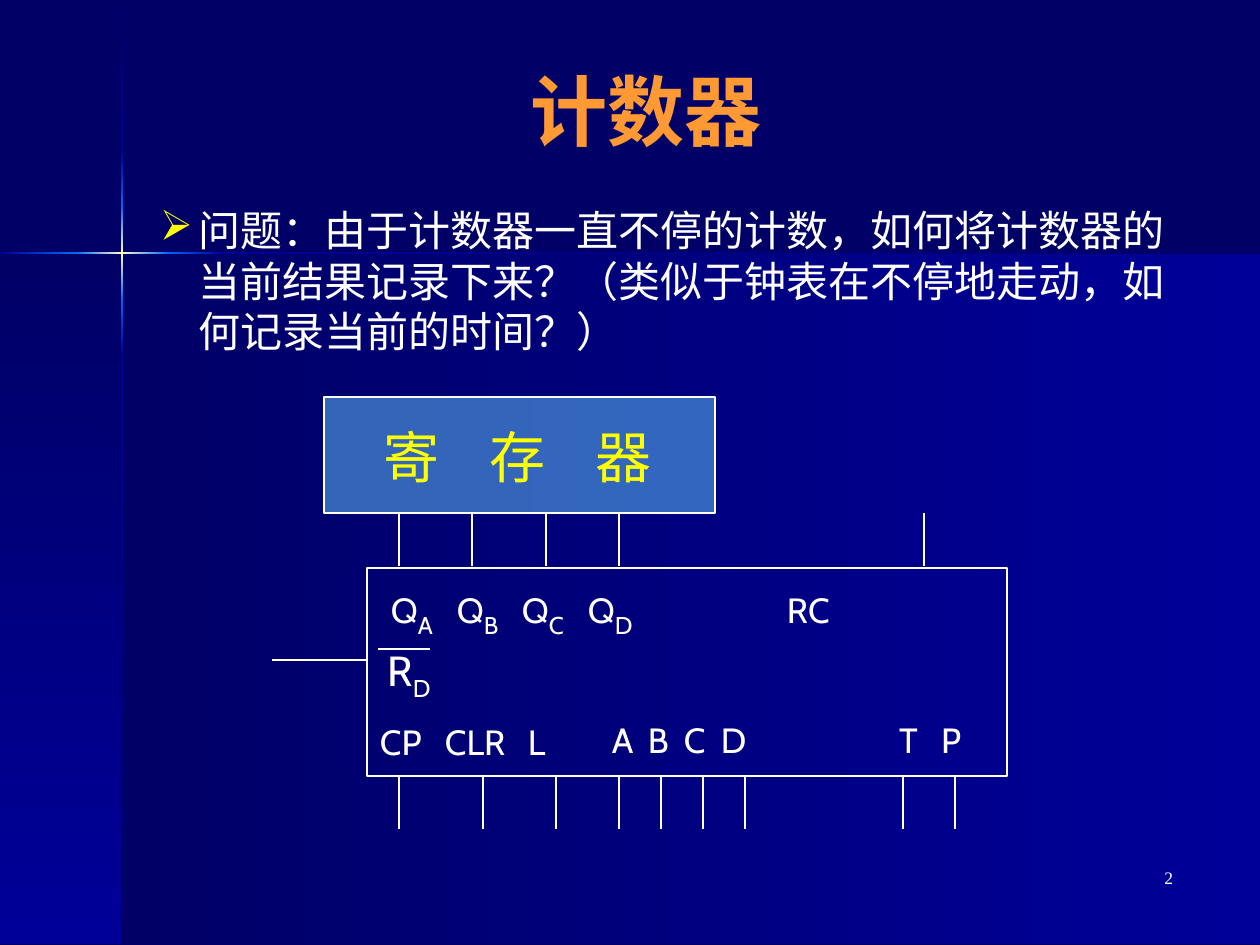
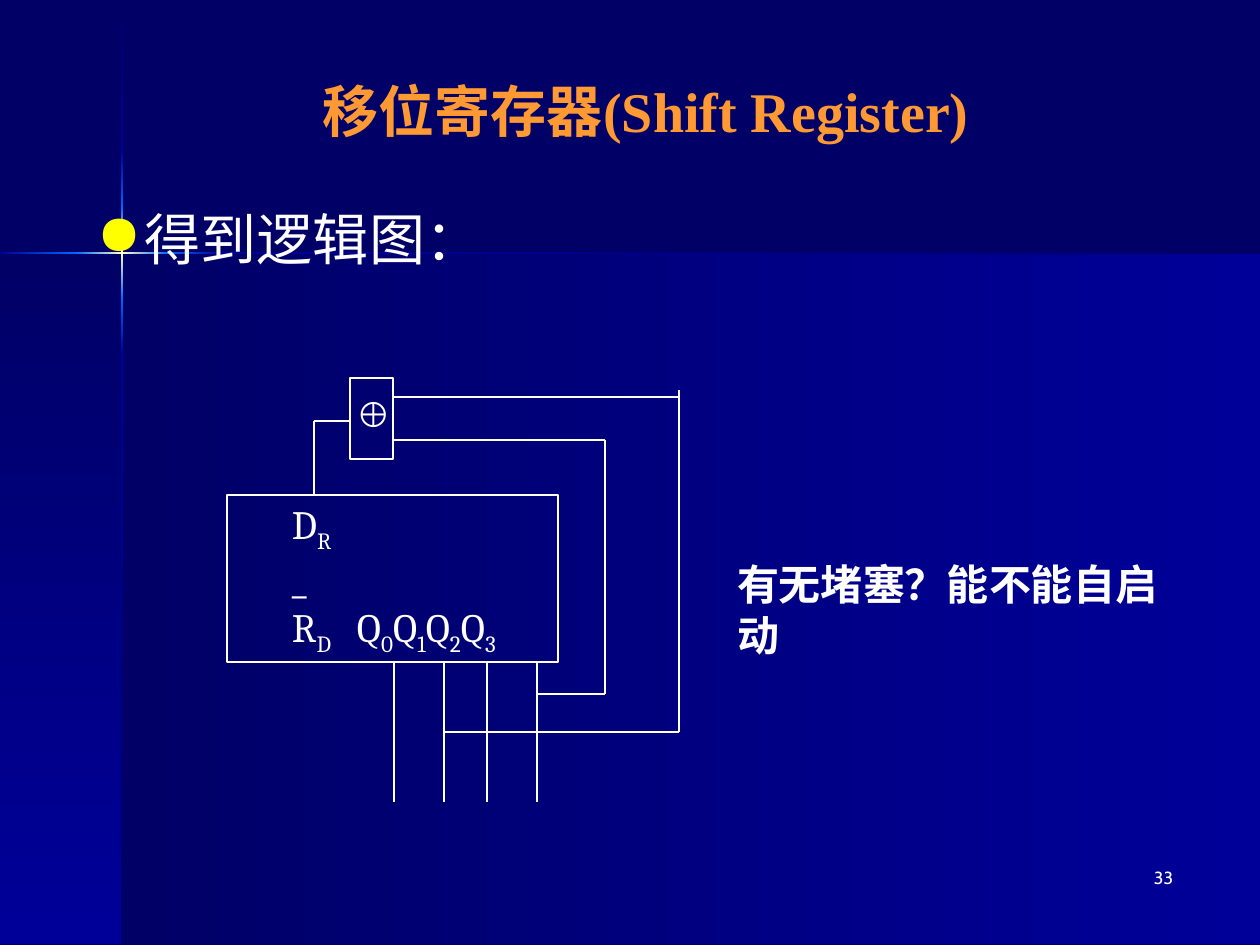
from lxml import etree
from pptx import Presentation
from pptx.dml.color import RGBColor
from pptx.enum.shapes import MSO_CONNECTOR, MSO_SHAPE
from pptx.enum.text import MSO_ANCHOR, PP_ALIGN
from pptx.oxml import parse_xml
from pptx.oxml.ns import nsdecls, qn
from pptx.util import Pt

RECTANGLE, STRAIGHT = MSO_SHAPE.RECTANGLE, MSO_CONNECTOR.STRAIGHT
LEFT, CENTER, RIGHT = PP_ALIGN.LEFT, PP_ALIGN.CENTER, PP_ALIGN.RIGHT
TOP, MIDDLE = MSO_ANCHOR.TOP, MSO_ANCHOR.MIDDLE

SCALE = 914400 / 126  # EMU per px
SLIDE_SIZE = (1260, 945)
TIMES, CABIN, CAMBRIA = "Times New Roman", "Cabin", "Cambria"
COLORS = {
    "night": "000066", "navy": "000099", "azure": "0066FF", "glow": "FFFFCC",
    "title": "FF9933", "text": "FFFFFF", "accent": "FFFF00", "register": "66CCFF",
}

# Shared layout: (left, top, width, height), gradient colours, angle in degrees
BANDS = [
    ((122, 253, 1138, 691), ("night", "navy"), 0),
    ((0, 253, 122, 691), ("night", "navy"), 90),
    ((121, 0, 2, 152), ("night", "navy"), 90),
    ((121, 354, 2, 590), ("navy", "night"), 90),
    ((223, 252, 1037, 2), ("navy", "night"), 0),
    ((121, 299, 2, 55), ("azure", "navy"), 90),
    ((121, 152, 2, 55), ("navy", "azure"), 90),
    ((121, 207, 2, 92), ("azure", "glow", "azure"), 90),
    ((0, 252, 76, 2), ("navy", "azure"), 0),
    ((168, 252, 55, 2), ("azure", "navy"), 0),
    ((76, 252, 92, 2), ("azure", "glow", "azure"), 0),
]
TITLE_BOX = (84, 42, 1124, 136)
BODY_BOX = (84, 199, 1124, 640)
NUMBER_BOX = (924, 861, 262, 63)

# Slide content; ~ surrounds a subscript
COUNTER = {
    "title": "计数器", "title_size": 44, "number": "2", "number_font": TIMES,
    "body": "问题：由于计数器一直不停的计数，如何将计数器的当前结果记录下来？"
            "（类似于钟表在不停地走动，如何记录当前的时间？）",
    "body_size": 24, "bullet": ("➢", 102, 39),
}
SHIFT_REGISTER = {
    "title": "移位寄存器(Shift Register)", "title_size": 32,
    "number": "33", "number_font": CABIN,
    "body": "得到逻辑图：", "body_size": 32, "bullet": ("●", 48, 48),
}

# Counter circuit
REGISTER_BOX = (324, 397, 391, 116)
COUNTER_BOX = (367, 568, 640, 208)
OUTPUT_PINS = [399, 472, 546, 619, 924]
INPUT_PINS = [399, 483, 556, 619, 661, 703, 745, 903, 955]
PIN_LENGTH = 53
RESET_WIRES = [(430, 649, 378, 649), (367, 660, 272, 660)]
PIN_LABELS = [  # box, text, tab stops
    ((378, 576, 620, 71), "Q~A~\tQ~B~\tQ~C~\tQ~D~\tRC", (66, 131, 197, 396)),
    ((599, 712, 179, 55), "A\tB\tC\tD", (36, 72, 109)),
    ((367, 714, 220, 55), "CP\tCLR\tL", (65, 148)),
    ((886, 712, 93, 55), "T\tP", (42,)),
]

# Shift register circuit
SHIFT_BOX = (227, 495, 331, 167)
XOR_BOX = (350, 378, 43, 81)
SHIFT_LABELS = ["D~R~", "_", "R~D~\tQ~0~Q~1~Q~2~Q~3~"]
SHIFT_OUTPUTS = [394, 444, 487, 537]
SHIFT_OUTPUT_ENDS = (663, 802)
FEEDBACK_WIRES = [
    (314, 495, 314, 421), (314, 421, 350, 421),
    (537, 694, 605, 694), (394, 440, 605, 440), (605, 440, 605, 694),
    (444, 732, 679, 732), (679, 732, 679, 390), (679, 397, 394, 397),
]


def px(length):
    return round(length * SCALE)


def set_values(target, values):
    for name, value in values.items():
        setattr(target, name, value)


def rgb(name):
    return RGBColor.from_string(COLORS[name])


def place(shape, box):
    set_values(shape, dict(zip(("left", "top", "width", "height"), map(px, box))))


def write(frame, lines, font, size, color="text", bold=False, align=LEFT,
          anchor=TOP, wrap=True, indent=13, tabs=(), bullet=None, sub_size=None):
    """Fill a text frame with one paragraph a line."""
    set_values(frame, {
        "word_wrap": wrap, "vertical_anchor": anchor, "margin_left": px(indent),
        "margin_right": px(13), "margin_top": px(6), "margin_bottom": px(6),
    })
    for index, line in enumerate(lines):
        paragraph = frame.paragraphs[0] if index == 0 else frame.add_paragraph()
        paragraph.alignment = align
        properties = paragraph._p.get_or_add_pPr()
        if bullet:
            character, margin, hanging = bullet
            properties.set("marL", str(px(margin)))
            properties.set("indent", str(-px(hanging)))
            bullet_color = etree.SubElement(properties, qn("a:buClr"))
            etree.SubElement(bullet_color, qn("a:srgbClr"), val=COLORS["accent"])
            etree.SubElement(properties, qn("a:buChar"), char=character)
        if tabs:
            tab_list = etree.SubElement(properties, qn("a:tabLst"))
            for stop in tabs:
                etree.SubElement(tab_list, qn("a:tab"), pos=str(px(stop)), algn="l")
        for part, text in enumerate(line.split("~")):
            if not text:
                continue
            run = paragraph.add_run()
            run.text = text
            subscript = part % 2 == 1
            run_size = sub_size if subscript and sub_size else size
            set_values(run.font, {"name": font, "size": Pt(run_size), "bold": bold})
            run.font.color.rgb = rgb(color)
            if subscript:
                run.font._element.set("baseline", "-25000")


def add_text(slide, box, text, font, size, **options):
    shape = slide.shapes.add_textbox(*map(px, box))
    write(shape.text_frame, [text], font, size, **options)


def add_box(slide, box):
    """Add an unfilled rectangle with a thin white outline."""
    shape = slide.shapes.add_shape(RECTANGLE, *map(px, box))
    shape.shadow.inherit = False
    shape.fill.background()
    shape.line.color.rgb = rgb("text")
    shape.line.width = Pt(0.75)
    return shape


def add_wires(slide, wires):
    for ends in wires:
        wire = slide.shapes.add_connector(STRAIGHT, *map(px, ends))
        wire.line.color.rgb = rgb("text")
        wire.line.width = Pt(0.75)
        etree.SubElement(wire._element.spPr, qn("a:effectLst"))


def add_bands(slide, layout):
    """Draw the gradient bands and keep them on the layout."""
    for position, (box, names, angle) in enumerate(BANDS):
        band = add_box(slide, box)
        band.line.fill.background()
        stops = "".join(
            f'<a:gs pos="{index * 100000 // (len(names) - 1)}">'
            f'<a:srgbClr val="{COLORS[name]}"/></a:gs>'
            for index, name in enumerate(names))
        gradient = parse_xml(
            f'<a:gradFill {nsdecls("a")} rotWithShape="1"><a:gsLst>{stops}</a:gsLst>'
            f'<a:lin ang="{angle * 60000}" scaled="1"/></a:gradFill>')
        properties = band._element.spPr
        properties.replace(properties.find(qn("a:noFill")), gradient)
        layout.shapes.element.insert(2 + position, band._element)


def add_content(slide, content):
    """Write the title, the bulleted text and the slide number."""
    title = slide.shapes.title
    place(title, TITLE_BOX)
    write(title.text_frame, [content["title"]], TIMES, content["title_size"],
          color="title", bold=True, align=CENTER, anchor=MIDDLE)
    add_text(slide, BODY_BOX, content["body"], TIMES, content["body_size"],
             bullet=content["bullet"])
    add_text(slide, NUMBER_BOX, content["number"], content["number_font"], 10,
             align=RIGHT)


def draw_counter(slide):
    register = add_box(slide, REGISTER_BOX)
    register.fill.solid()
    register.fill.fore_color.rgb = rgb("register")
    fill_color = register._element.spPr.find(qn("a:solidFill"))[0]
    etree.SubElement(fill_color, qn("a:alpha"), val="50000")
    add_text(slide, (345, 416, 349, 81), "寄\t存\t器", TIMES, 32, color="accent",
             indent=38, tabs=(106, 212))

    add_box(slide, COUNTER_BOX)
    for box, text, tabs in PIN_LABELS:
        add_text(slide, box, text, CABIN, 20, tabs=tabs, sub_size=24)
    add_text(slide, (346, 639, 126, 71), "R~D~", CABIN, 24, align=CENTER)

    register_bottom = REGISTER_BOX[1] + REGISTER_BOX[3]
    counter_bottom = COUNTER_BOX[1] + COUNTER_BOX[3]
    for pins, top in ((OUTPUT_PINS, register_bottom), (INPUT_PINS, counter_bottom)):
        add_wires(slide, [(x, top, x, top + PIN_LENGTH) for x in pins])
    add_wires(slide, RESET_WIRES)


def draw_shift_register(slide):
    add_text(slide, (724, 553, 486, 63), "有无堵塞？能不能自启动", CAMBRIA, 24,
             bold=True, wrap=False)
    shift_box = add_box(slide, SHIFT_BOX)
    write(shift_box.text_frame, SHIFT_LABELS, CAMBRIA, 23, anchor=MIDDLE,
          indent=65, tabs=(65,))
    top, bottom = SHIFT_OUTPUT_ENDS
    add_wires(slide, [(x, top, x, bottom) for x in SHIFT_OUTPUTS])
    add_box(slide, XOR_BOX)
    add_wires(slide, FEEDBACK_WIRES)
    add_text(slide, (343, 386, 69, 55), "⊕", TIMES, 20)


def main():
    presentation = Presentation()
    presentation.slide_width, presentation.slide_height = map(px, SLIDE_SIZE)
    background = presentation.slide_master.background.fill
    background.solid()
    background.fore_color.rgb = rgb("night")
    layout = presentation.slide_layouts.get_by_name("Title Only")

    pages = [(COUNTER, draw_counter), (SHIFT_REGISTER, draw_shift_register)]
    for index, (content, draw) in enumerate(pages):
        slide = presentation.slides.add_slide(layout)
        if index == 0:
            add_bands(slide, layout)
        add_content(slide, content)
        draw(slide)
    presentation.save("out.pptx")


if __name__ == "__main__":
    main()
